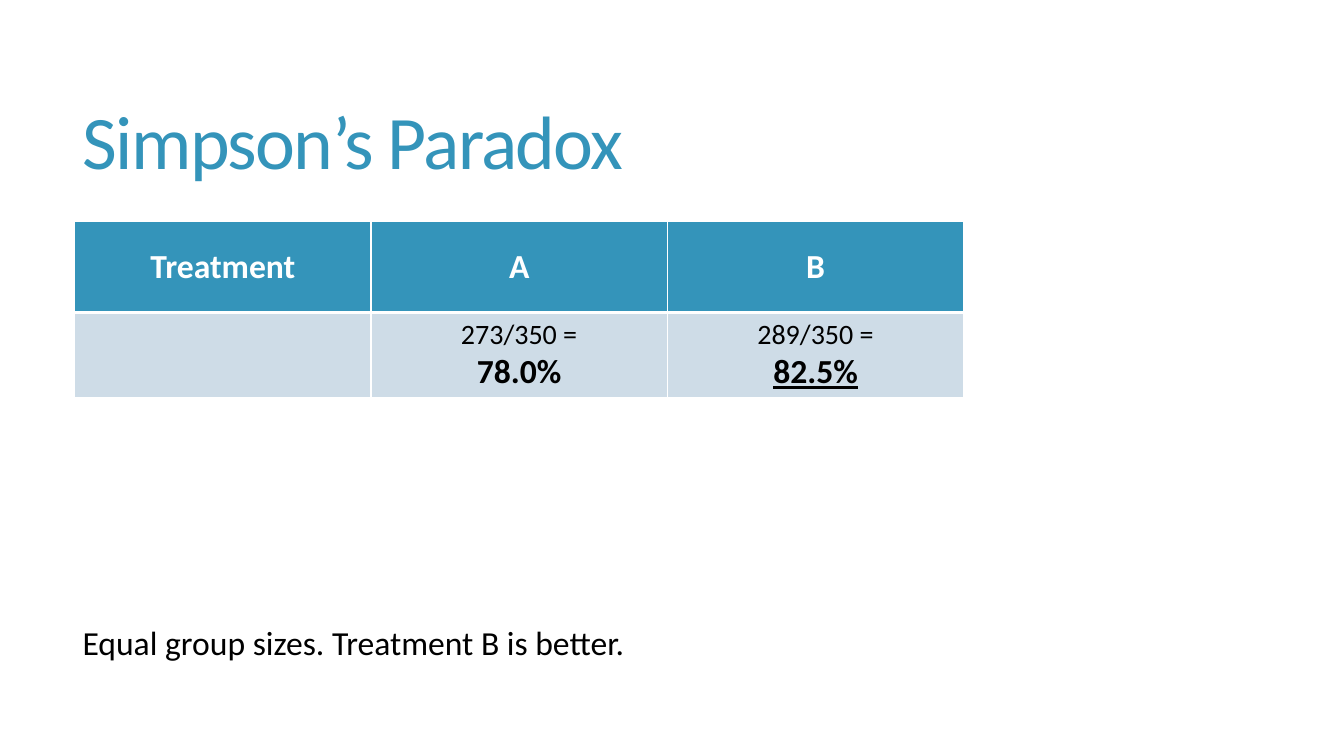
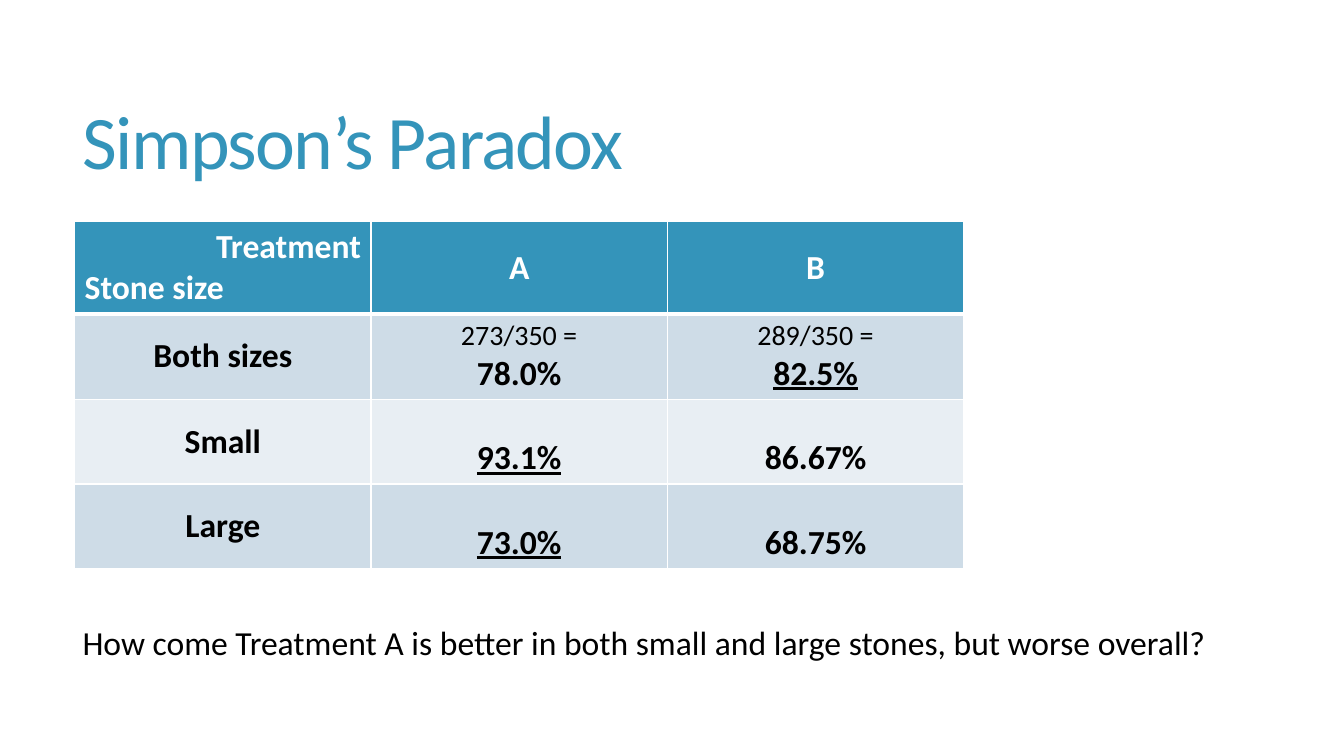
from lxml.etree import fromstring
from pptx import Presentation
from pptx.dml.color import RGBColor
from pptx.enum.text import MSO_ANCHOR as Anchor, MSO_AUTO_SIZE as AutoSize, PP_ALIGN as Align
from pptx.oxml.ns import nsdecls
from pptx.util import Inches, Pt

# Shared look
TEAL = RGBColor(0x34, 0x94, 0xBA)
BAND_DARK = RGBColor(0xCE, 0xDC, 0xE7)
BAND_LIGHT = RGBColor(0xE8, 0xEE, 0xF3)
WHITE = RGBColor(0xFF, 0xFF, 0xFF)
BLACK = RGBColor(0, 0, 0)
FONT = "Calibri"
LARGE, SMALL = 24, 20

# Shared grid, in inches
SLIDE_W, SLIDE_H = 13.33, 7.5
TEXT_LEFT = 0.72
TABLE_LEFT, TABLE_TOP = 0.74, 2.2
COLUMN_W, HEADER_H, BODY_H = 2.94, 0.9, 0.84

TITLE = "Simpson’s Paradox"


def style(paragraph, size, color, bold=False, underline=False, align=Align.LEFT):
    paragraph.alignment = align
    font = paragraph.font
    font.name, font.size, font.color.rgb = FONT, Pt(size), color
    font.bold, font.underline = bold, underline


# Cell contents: each line is (text, paragraph settings)
def label(text, align=Align.CENTER):
    return [(text, dict(size=LARGE, bold=True, align=align))]


def rate(percent, count=None, best=False):
    lines = [(count, dict(size=SMALL, align=Align.CENTER))] if count else []
    return lines + [(percent, dict(size=LARGE, bold=True, underline=best,
                                   align=Align.CENTER))]


def add_title(slide):
    title = slide.shapes.title
    title.left, title.top = Inches(TEXT_LEFT), Inches(0.55)
    title.width, title.height = Inches(11.78), Inches(1.81)
    frame = title.text_frame
    frame.text = TITLE
    frame.auto_size, frame.vertical_anchor = AutoSize.NONE, Anchor.MIDDLE
    heading = frame.paragraphs[0]
    heading.line_spacing = 0.85
    style(heading, 54, TEAL)
    heading.runs[0]._r.get_or_add_rPr().set("spc", "-120")


def add_borders(cell, row):
    widths = {"L": 1, "R": 1, "T": 3 if row == 1 else 1, "B": 3 if row == 0 else 1}
    properties = cell._tc.get_or_add_tcPr()
    for position, (side, width) in enumerate(widths.items()):
        properties.insert(position, fromstring(
            f'<a:ln{side} {nsdecls("a")} w="{Pt(width)}"><a:solidFill>'
            f'<a:srgbClr val="{WHITE}"/></a:solidFill></a:ln{side}>'))


def fill_cell(cell, lines, row, anchor):
    cell.fill.solid()
    cell.fill.fore_color.rgb = TEAL if row == 0 else (BAND_LIGHT, BAND_DARK)[row % 2]
    add_borders(cell, row)
    cell.vertical_anchor = anchor
    cell.text = "\n".join(text for text, _ in lines)
    for paragraph, (_, settings) in zip(cell.text_frame.paragraphs, lines):
        style(paragraph, color=BLACK if row else WHITE, **settings)


def add_rates_table(slide, rows):
    columns = len(rows[0])
    heights = [HEADER_H] + [BODY_H] * (len(rows) - 1)
    table = slide.shapes.add_table(
        len(rows), columns, Inches(TABLE_LEFT), Inches(TABLE_TOP),
        Inches(COLUMN_W * columns), Inches(sum(heights))).table
    for column in table.columns:
        column.width = Inches(COLUMN_W)
    for r, (cells, height) in enumerate(zip(rows, heights)):
        table.rows[r].height = Inches(height)
        for c, lines in enumerate(cells):
            # A rate without its count sits on the second line of the row
            lone_rate = r > 0 and c > 0 and len(lines) == 1
            fill_cell(table.cell(r, c), lines, r,
                      Anchor.BOTTOM if lone_rate else Anchor.MIDDLE)


def add_remark(slide, text):
    frame = slide.shapes.add_textbox(Inches(TEXT_LEFT), Inches(6.12),
                                     Inches(11.45), Inches(0.51)).text_frame
    frame.word_wrap = True
    frame.text = text
    style(frame.paragraphs[0], LARGE, BLACK)


def add_paradox_slide(deck, rows, remark):
    slide = deck.slides.add_slide(deck.slide_layouts[5])  # title only
    add_title(slide)
    add_rates_table(slide, rows)
    add_remark(slide, remark)


def main():
    deck = Presentation()
    deck.slide_width, deck.slide_height = Inches(SLIDE_W), Inches(SLIDE_H)

    treatments = [label("A"), label("B")]
    overall = [rate("78.0%", "273/350 ="), rate("82.5%", "289/350 =", best=True)]

    # Overall comparison
    add_paradox_slide(deck, [
        [label("Treatment"), *treatments],
        [[], *overall],
    ], "Equal group sizes. Treatment B is better.")

    # Comparison by stone size
    corner = label("Treatment", Align.RIGHT) + label("Stone size", Align.LEFT)
    add_paradox_slide(deck, [
        [corner, *treatments],
        [label("Both sizes"), *overall],
        [label("Small"), rate("93.1%", best=True), rate("86.67%")],
        [label("Large"), rate("73.0%", best=True), rate("68.75%")],
    ], "How come Treatment A is better in both small and large stones, but worse overall?")

    deck.save("out.pptx")


if __name__ == "__main__":
    main()
